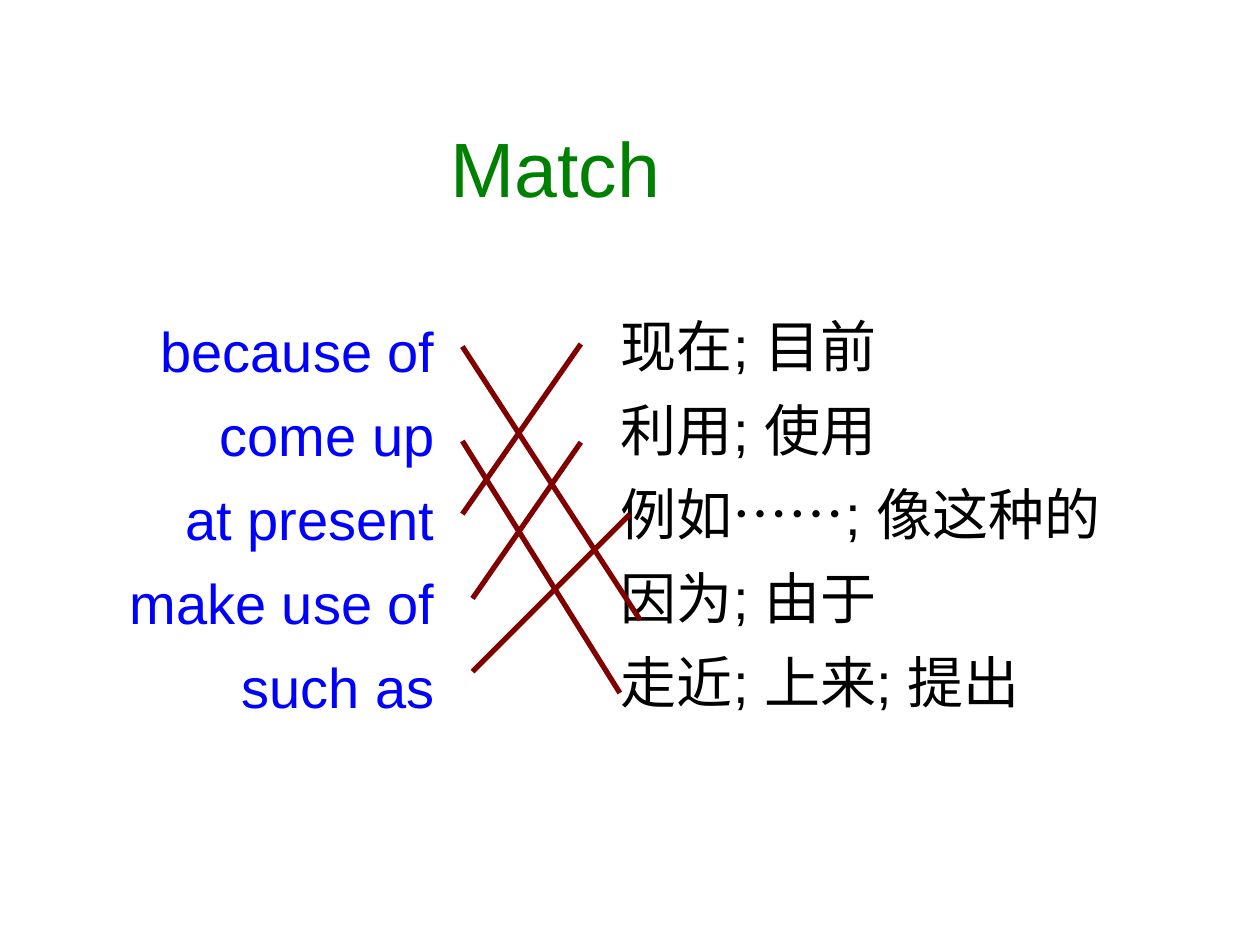
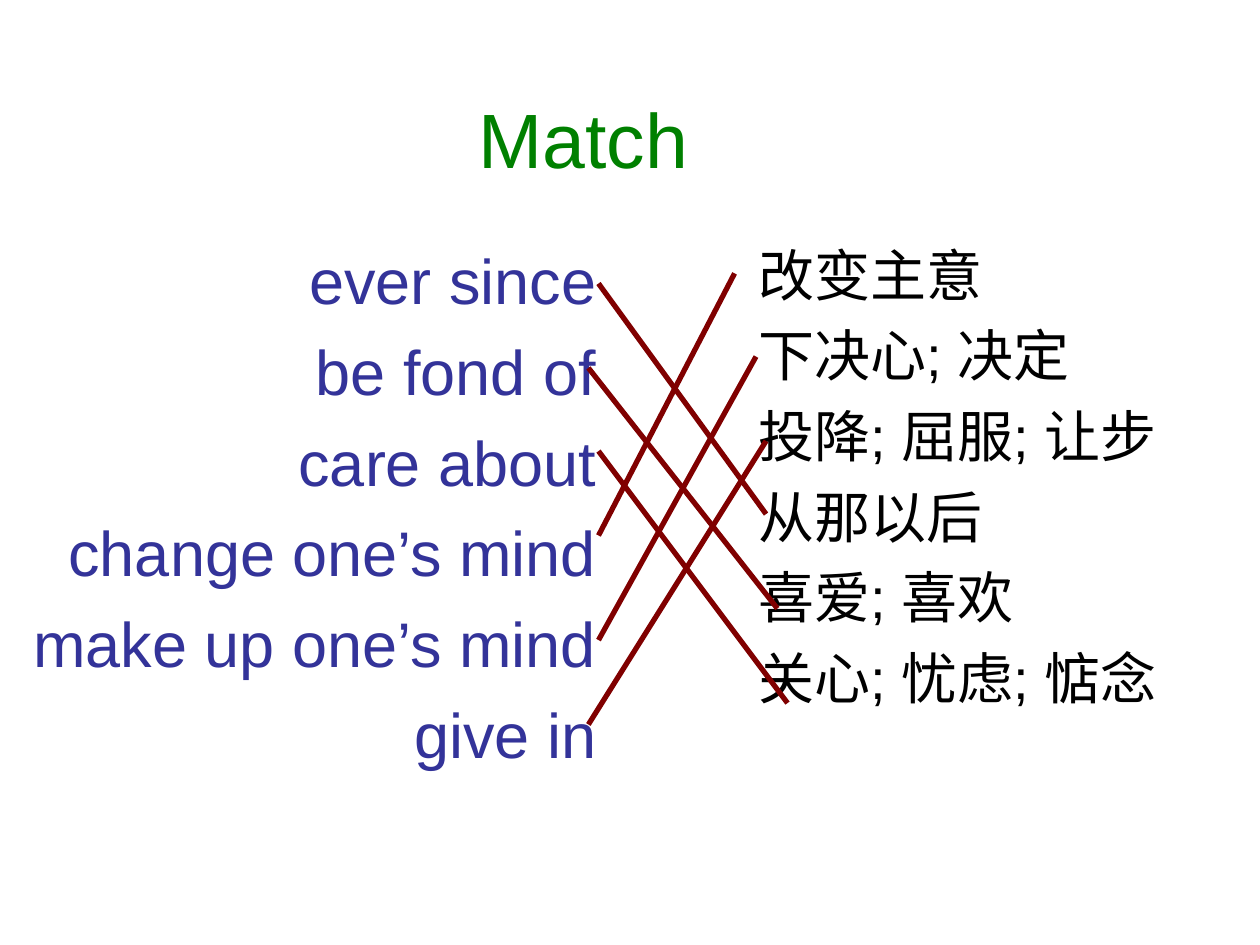
from dataclasses import dataclass

from lxml.etree import SubElement
from pptx import Presentation
from pptx.dml.color import RGBColor
from pptx.enum.shapes import MSO_CONNECTOR
from pptx.enum.text import MSO_AUTO_SIZE, PP_ALIGN
from pptx.oxml.ns import qn
from pptx.slide import Slide
from pptx.util import Inches, Pt

FONT = "Arial"
GREEN, BLUE, INDIGO, BLACK, MAROON = "008000", "0000FF", "333399", "000000", "800000"


@dataclass(frozen=True)
class TextColumn:
    """A box of one-line paragraphs in a single style."""

    box: tuple[float, float, float, float]
    lines: list[str]
    size: int
    color: str
    align: PP_ALIGN = PP_ALIGN.LEFT
    spacing: float = 1.0


@dataclass(frozen=True)
class MatchLine:
    """A straight line from a phrase to its meaning."""

    start: tuple[float, float]
    end: tuple[float, float]


@dataclass(frozen=True)
class MatchSlide:
    """A matching exercise with its answers."""

    phrases: TextColumn
    meanings: TextColumn
    title: TextColumn
    answers: list[MatchLine]


def rgb(color: str) -> RGBColor:
    """Turn a hex string into a colour."""
    return RGBColor.from_string(color)


def match_title(left: float, top: float, align: PP_ALIGN) -> TextColumn:
    """Describe the heading used on every exercise."""
    return TextColumn((left, top, 2.76, 0.84), ["Match"], 44, GREEN, align)


def add_column(s: Slide, column: TextColumn) -> None:
    """Draw a column of text."""
    tf = s.shapes.add_textbox(*map(Inches, column.box)).text_frame
    tf.word_wrap = True
    tf.auto_size = MSO_AUTO_SIZE.SHAPE_TO_FIT_TEXT
    for i, line in enumerate(column.lines):
        p = tf.add_paragraph() if i else tf.paragraphs[0]
        p.alignment = column.align
        p.line_spacing = column.spacing
        r = p.add_run()
        r.text = line
        r.font.name = FONT
        r.font.size = Pt(column.size)
        r.font.color.rgb = rgb(column.color)


def add_answer(s: Slide, answer: MatchLine) -> None:
    """Draw one answer line."""
    ends = map(Inches, (*answer.start, *answer.end))
    line = s.shapes.add_connector(MSO_CONNECTOR.STRAIGHT, *ends)
    line.line.color.rgb = rgb(MAROON)
    line.line.width = Pt(3)
    SubElement(line._element.spPr, qn("a:effectLst"))


def add_match_slide(prs: Presentation, match: MatchSlide) -> None:
    """Add one exercise slide."""
    s = prs.slides.add_slide(prs.slide_layouts[6])
    for column in (match.phrases, match.meanings, match.title):
        add_column(s, column)
    for answer in match.answers:
        add_answer(s, answer)


SLIDES = [
    MatchSlide(
        TextColumn(
            (0.42, 2.33, 3.13, 3.44),
            ["because of", "come up", "at present", "make use of", "such as"],
            32, BLUE, PP_ALIGN.RIGHT, 1.25,
        ),
        TextColumn(
            (4.83, 2.29, 4.65, 3.43),
            ["现在; 目前", "利用; 使用", "例如……; 像这种的", "因为; 由于", "走近; 上来; 提出"],
            32, BLACK, spacing=1.25,
        ),
        match_title(3.03, 0.91, PP_ALIGN.CENTER),
        [
            MatchLine((3.67, 2.75), (5.08, 4.92)),
            MatchLine((3.67, 3.5), (4.92, 5.5)),
            MatchLine((3.67, 4.08), (4.61, 2.73)),
            MatchLine((3.75, 4.75), (4.61, 3.51)),
            MatchLine((3.75, 5.33), (5, 4.08)),
        ],
    ),
    MatchSlide(
        TextColumn(
            (0, 1.75, 4.83, 4.42),
            ["ever since", "be fond of", "care about",
             "change one’s mind", "make up one’s mind", "give in"],
            36, INDIGO, PP_ALIGN.RIGHT, 1.2,
        ),
        TextColumn(
            (5.92, 1.75, 4.33, 3.94),
            ["改变主意", "下决心; 决定", "投降; 屈服; 让步",
             "从那以后", "喜爱; 喜欢", "关心; 忧虑; 惦念"],
            32, BLACK, spacing=1.2,
        ),
        match_title(3.7, 0.68, PP_ALIGN.LEFT),
        [
            MatchLine((4.75, 2.25), (6.08, 4.08)),
            MatchLine((4.67, 2.92), (6.17, 4.83)),
            MatchLine((4.75, 3.58), (6.25, 5.58)),
            MatchLine((4.75, 4.25), (5.83, 2.17)),
            MatchLine((4.75, 5.08), (6, 2.83)),
            MatchLine((4.67, 5.75), (6.08, 3.5)),
        ],
    ),
]


def main() -> None:
    """Build and save the exercises."""
    prs = Presentation()
    prs.slide_width, prs.slide_height = Inches(10), Inches(7.5)
    for match in SLIDES:
        add_match_slide(prs, match)
    prs.save("out.pptx")


if __name__ == "__main__":
    main()
